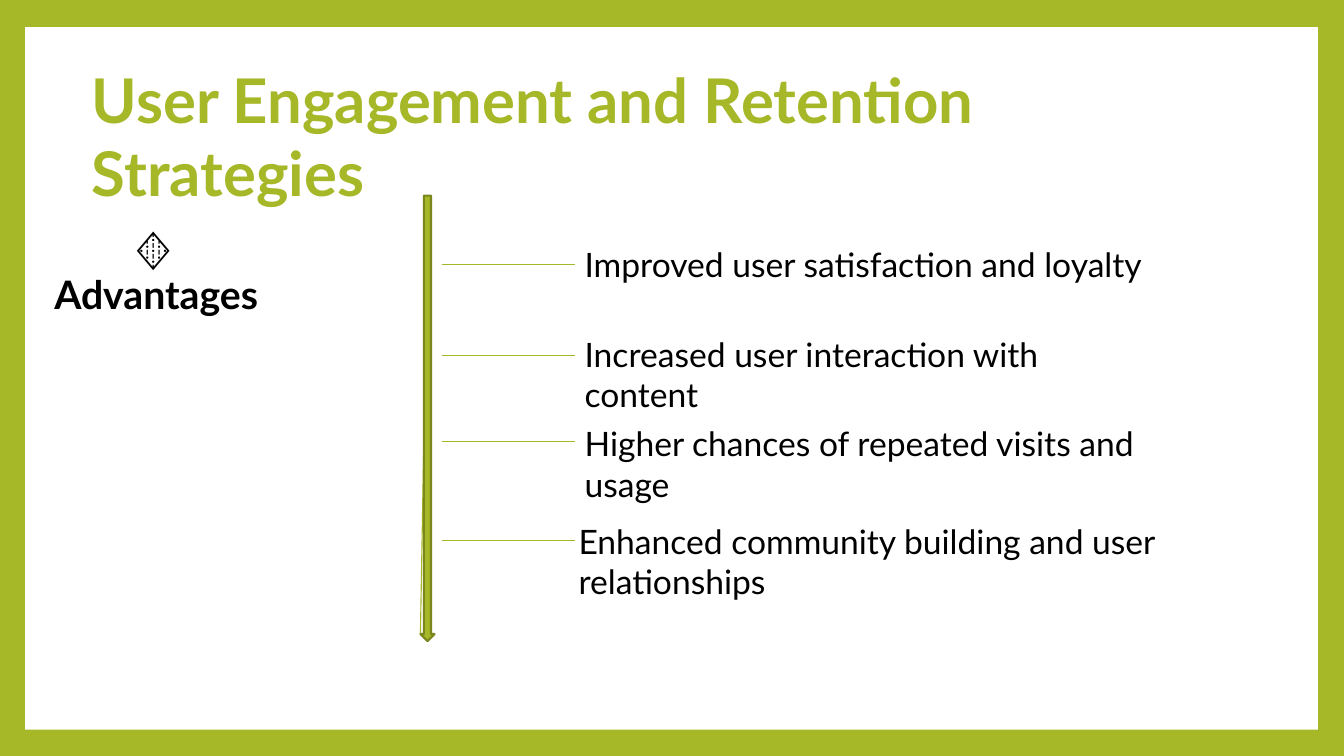
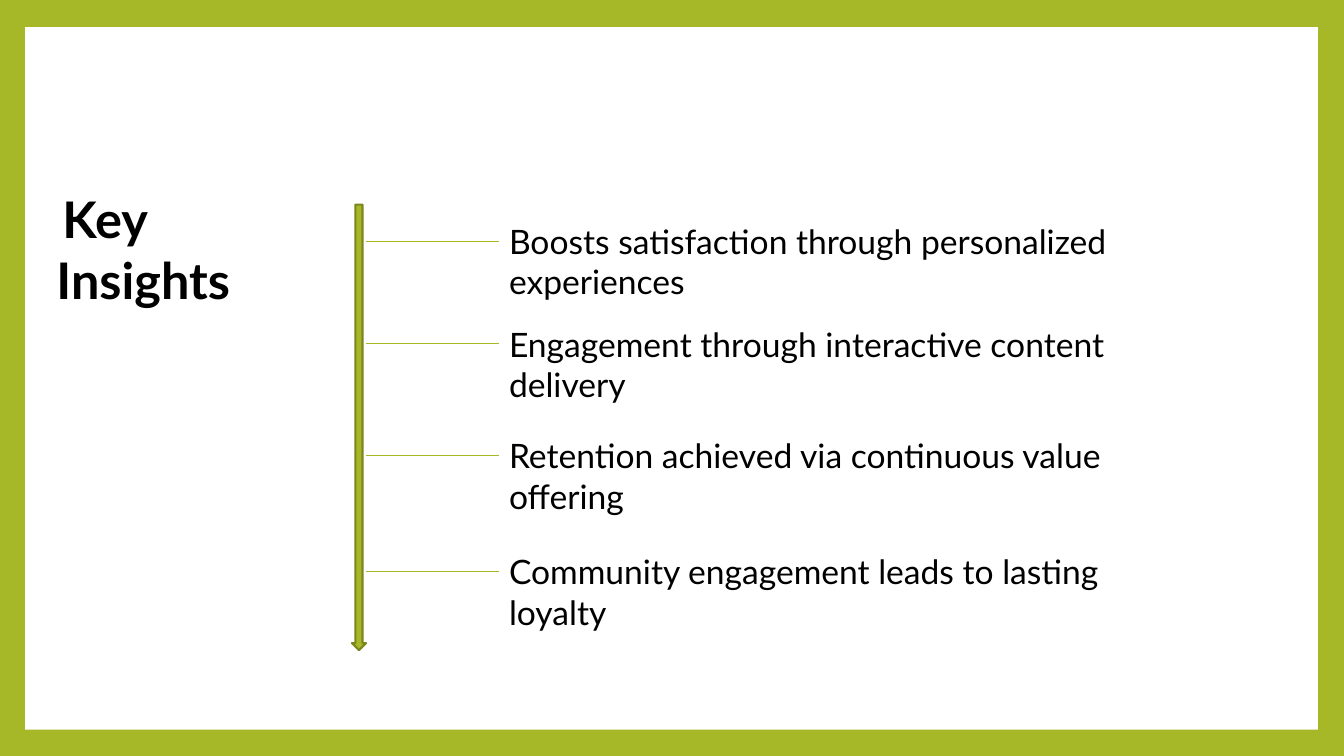
from dataclasses import dataclass
from typing import Any

from lxml import etree
from pptx import Presentation
from pptx.dml.color import RGBColor
from pptx.enum.shapes import MSO_CONNECTOR, MSO_SHAPE
from pptx.enum.text import MSO_ANCHOR, MSO_AUTO_SIZE, PP_ALIGN
from pptx.oxml.ns import qn
from pptx.util import Inches, Pt

LINE = MSO_CONNECTOR.STRAIGHT
RECT = MSO_SHAPE.RECTANGLE
ARROW = MSO_SHAPE.DOWN_ARROW
LEFT = PP_ALIGN.LEFT
TOP = MSO_ANCHOR.TOP
FIXED = MSO_AUTO_SIZE.NONE


@dataclass(frozen=True)
class Theme:
    font: str = "Lato"
    green: RGBColor = RGBColor(0xA6, 0xB7, 0x27)
    olive: RGBColor = RGBColor(0x7B, 0x87, 0x1D)
    white: RGBColor = RGBColor(0xFF, 0xFF, 0xFF)
    black: RGBColor = RGBColor(0, 0, 0)
    title: int = 44
    side: int = 36
    label: int = 28
    body: int = 24
    thin: float = 0.79
    edge: float = 1.5


THEME = Theme()
TEXT_END = 11.6
RULE_LEN = 1.32


@dataclass(frozen=True)
class Box:
    left: float
    top: float
    width: float
    height: float


@dataclass(frozen=True)
class Style:
    size: int
    color: RGBColor = THEME.black
    bold: bool = False
    indent: float = 0


@dataclass(frozen=True)
class Item:
    text: str
    rule: float
    left: float
    top: float


@dataclass(frozen=True)
class Page:
    title: str
    box: Box
    style: Style
    arrow: Box
    rule: float
    items: tuple[Item, ...]


PAGES = (
    Page(
        "User Engagement and Retention Strategies",
        Box(0.81, 0.56, 11.2, 1.6),
        Style(THEME.title, THEME.green, True),
        Box(4.17, 1.94, 0.14, 4.42),
        4.38,
        (
            Item("Improved user satisfaction and loyalty", 2.62, 5.7, 2.37),
            Item("Increased user interaction with content", 3.53, 5.7, 3.26),
            Item("Higher chances of repeated visits and usage", 4.38, 5.7, 4.15),
            Item("Enhanced community building and user relationships", 5.36, 5.64, 5.12),
        ),
    ),
    Page(
        "Key Insights",
        Box(0.46, 1.82, 2.2, 1.3),
        Style(THEME.side, bold=True, indent=0.06),
        Box(3.49, 2.03, 0.14, 4.42),
        3.63,
        (
            Item("Boosts satisfaction through personalized experiences", 2.4, 4.95, 2.14),
            Item("Engagement through interactive content delivery", 3.41, 4.95, 3.16),
            Item("Retention achieved via continuous value offering", 4.52, 4.95, 4.27),
            Item("Community engagement leads to lasting loyalty", 5.67, 4.95, 5.42),
        ),
    ),
)


def apply(target: Any, values: dict[str, Any]) -> None:
    for name, value in values.items():
        setattr(target, name, value)


def place(box: Box) -> tuple[int, ...]:
    return tuple(Inches(n) for n in (box.left, box.top, box.width, box.height))


def add_run(para: Any, text: str, style: Style) -> None:
    run = para.add_run()
    run.text = text
    apply(run.font, {"name": THEME.font, "size": Pt(style.size), "bold": style.bold})
    run.font.color.rgb = style.color


def fill_text(shape: Any, style: Style, *parts: tuple[str, bool]) -> None:
    frame = shape.text_frame
    apply(frame, {"word_wrap": True, "auto_size": FIXED, "vertical_anchor": TOP})
    para = frame.paragraphs[0]
    para.alignment = LEFT
    if style.indent:
        props = para._p.get_or_add_pPr()
        props.set("marL", "0")
        props.set("indent", str(Inches(style.indent)))
    for text, bold in parts:
        add_run(para, text, Style(style.size, style.color, bold))


def add_text(slide: Any, box: Box, style: Style, *parts: tuple[str, bool]) -> None:
    fill_text(slide.shapes.add_textbox(*place(box)), style, *parts)


def add_solid(slide: Any, kind: Any, box: Box, color: RGBColor) -> Any:
    shape = slide.shapes.add_shape(kind, *place(box))
    shape.shadow.inherit = False
    shape.fill.solid()
    shape.fill.fore_color.rgb = color
    shape.line.fill.background()
    return shape


def add_line(slide: Any, x1: float, y1: float, x2: float, y2: float) -> None:
    line = slide.shapes.add_connector(LINE, *(Inches(n) for n in (x1, y1, x2, y2)))
    line.line.color.rgb = THEME.green
    line.line.width = Pt(THEME.thin)
    etree.SubElement(line.element.spPr, qn("a:effectLst"))


def add_arrow(slide: Any, box: Box) -> None:
    arrow = add_solid(slide, ARROW, box, THEME.green)
    arrow.line.color.rgb = THEME.olive
    arrow.line.width = Pt(THEME.edge)


def set_master(deck: Any, slide: Any) -> None:
    master = deck.slide_master
    back = master.background.fill
    back.solid()
    back.fore_color.rgb = THEME.green
    panel = add_solid(slide, RECT, Box(0.25, 0.27, 12.82, 6.97), THEME.white)
    panel.element.nvSpPr.cNvPr.id = 20
    master.shapes.element.insert(2, panel.element)


def draw_page(slide: Any, page: Page) -> None:
    title = slide.shapes.title
    apply(title, dict(zip(("left", "top", "width", "height"), place(page.box))))
    fill_text(title, page.style, (page.title, page.style.bold))
    add_arrow(slide, page.arrow)
    for item in page.items:
        add_line(slide, page.rule, item.rule, page.rule + RULE_LEN, item.rule)
        box = Box(item.left, item.top, TEXT_END - item.left, 0.9)
        add_text(slide, box, Style(THEME.body), (item.text, False))


def main() -> None:
    deck = Presentation()
    apply(deck, {"slide_width": Inches(13.33), "slide_height": Inches(7.5)})
    layout = deck.slide_layouts[5]
    first, last = (deck.slides.add_slide(layout) for _ in PAGES)
    set_master(deck, first)
    add_line(first, 4.24, 2.29, 4.17, 6.3)
    for slide, page in zip((first, last), PAGES):
        draw_page(slide, page)
    label = Style(THEME.label, indent=0.79)
    add_text(first, Box(0.44, 2.17, 3.36, 1.1), label, ("🔶 ", False), ("Advantages", True))
    deck.save("out.pptx")


if __name__ == "__main__":
    main()
